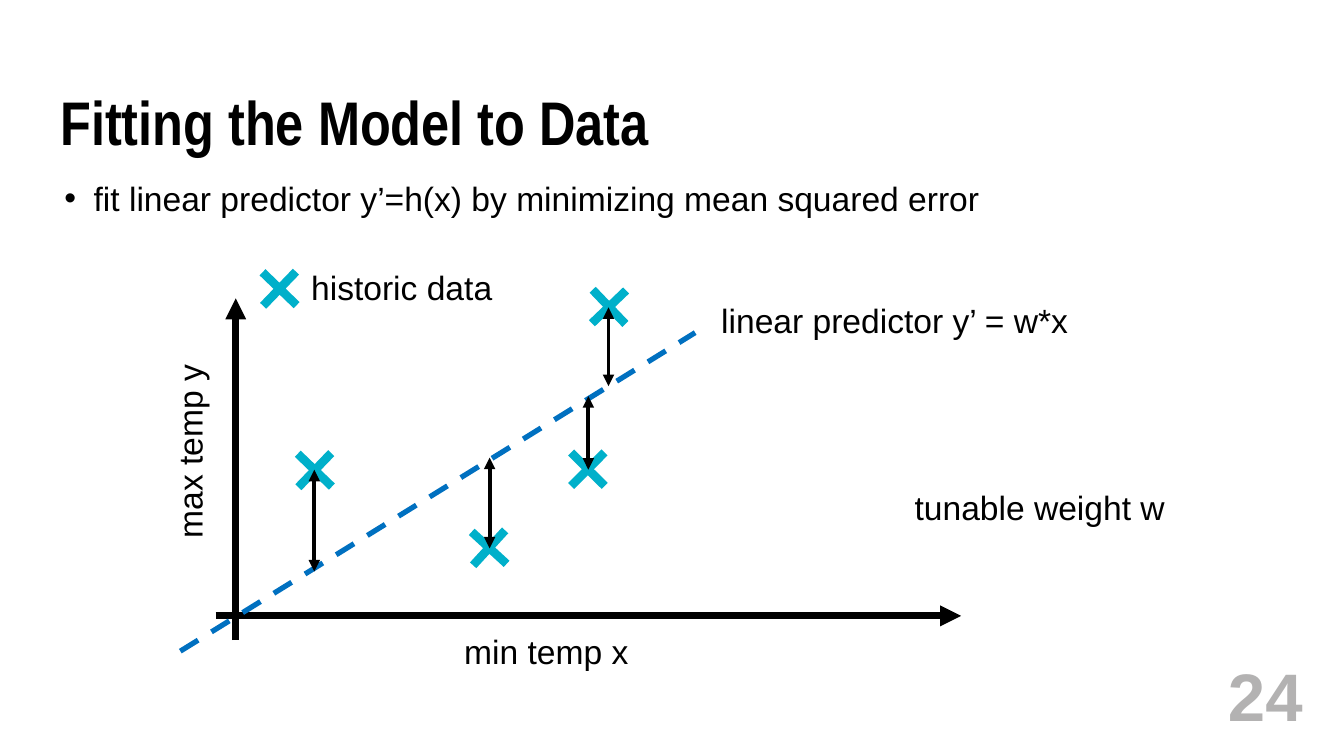
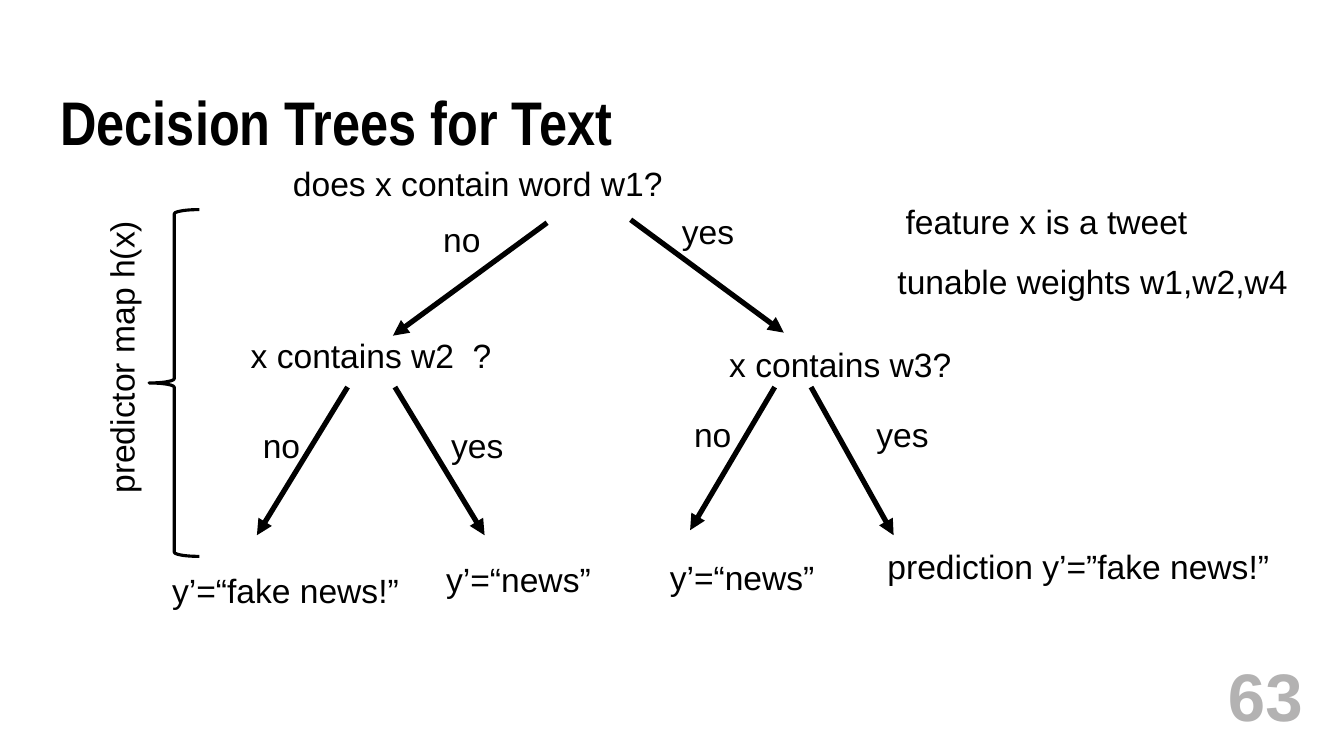
import pptx
import pptx.dml.color
import pptx.enum.dml
import pptx.enum.shapes
import pptx.enum.text
import pptx.oxml.ns
import pptx.util
from lxml import etree

Inches = pptx.util.Inches
Pt = pptx.util.Pt
SHAPE = pptx.enum.shapes.MSO_SHAPE
ALIGN = pptx.enum.text.PP_ALIGN
ANCHOR = pptx.enum.text.MSO_ANCHOR
qn = pptx.oxml.ns.qn

# Shared style
BLACK, GREY, CYAN, BLUE = "000000", "B3B2B2", "00B0CA", "0070C0"
BODY_FONT, TITLE_FONT = "Arial", "Arial Narrow"
LABEL_HEIGHT = 0.5
CROSS_SIZE = 0.47


def color(hex_text):
    return pptx.dml.color.RGBColor.from_string(hex_text)


def add_text(slide, text, left, top, width, height=LABEL_HEIGHT, size=24,
             font=BODY_FONT, fill=BLACK, bold=False, insets=(0.1, 0.05),
             align=ALIGN.LEFT, anchor=ANCHOR.TOP, rotation=0):
    """Add a one-paragraph text box and return its paragraph."""
    sp = slide.shapes.add_textbox(Inches(left), Inches(top), Inches(width), Inches(height))
    sp.rotation = rotation
    tf = sp.text_frame
    tf.word_wrap = True
    tf.vertical_anchor = anchor
    tf.margin_left = tf.margin_right = Inches(insets[0])
    tf.margin_top = tf.margin_bottom = Inches(insets[1])
    p = tf.paragraphs[0]
    p.alignment = align
    r = p.add_run()
    r.text = text
    r.font.name = font
    r.font.size = Pt(size)
    r.font.bold = bold
    r.font.color.rgb = color(fill)
    return p


def add_bullet(slide, text, left, top, width, height):
    p = add_text(slide, text, left, top, width, height, insets=(0.04, 0.04))
    p.space_after = Pt(6)
    pPr = p._p.get_or_add_pPr()
    indent = Inches(0.29)
    pPr.set("marL", str(indent))
    pPr.set("indent", str(-indent))
    etree.SubElement(pPr, qn("a:buFont")).set("typeface", BODY_FONT)
    etree.SubElement(pPr, qn("a:buChar")).set("char", "•")


def add_line(slide, start, end, width, line=BLACK, dash=None, arrows=("tailEnd",)):
    """Add a straight line; arrows lists the ends (headEnd, tailEnd) with a triangle."""
    c = slide.shapes.add_connector(
        pptx.enum.shapes.MSO_CONNECTOR.STRAIGHT, *(Inches(v) for v in (*start, *end)))
    c.line.color.rgb = color(line)
    c.line.width = Pt(width)
    if dash:
        c.line.dash_style = dash
    ln = c.line._get_or_add_ln()
    for arrow in arrows:
        etree.SubElement(ln, qn("a:" + arrow)).set("type", "triangle")
    etree.SubElement(c._element.spPr, qn("a:effectLst"))


def add_cross(slide, left, top, rotation):
    sp = slide.shapes.add_shape(SHAPE.CROSS, Inches(left), Inches(top),
                                Inches(CROSS_SIZE), Inches(CROSS_SIZE))
    sp.adjustments[0] = 0.41
    sp.rotation = rotation
    sp.shadow.inherit = False
    sp.fill.solid()
    sp.fill.fore_color.rgb = color(CYAN)
    sp.line.fill.background()


def add_brace(slide, left, top, width, height):
    sp = slide.shapes.add_shape(SHAPE.LEFT_BRACE, Inches(left), Inches(top),
                                Inches(width), Inches(height))
    sp.shadow.inherit = False
    sp.fill.background()
    sp.line.color.rgb = color(BLACK)
    sp.line.width = Pt(2.25)


def add_slide(prs, title, number):
    """Add a blank slide with the shared title and page number."""
    slide = prs.slides.add_slide(prs.slide_layouts[6])
    p = add_text(slide, title, 0.6, 0.92, 12.13, 0.67, size=44, font=TITLE_FONT,
                 bold=True, insets=(0, 0))
    p.line_spacing = 0.9
    add_text(slide, number, 10.92, 6.58, 2.05, 0.63, size=48, fill=GREY, bold=True,
             insets=(0.04, 0.04), align=ALIGN.RIGHT, anchor=ANCHOR.MIDDLE)
    return slide


def build_fitting(prs):
    slide = add_slide(prs, "Fitting the Model to Data", "24")
    add_bullet(slide, "fit linear predictor y’=h(x) by minimizing mean squared error",
               0.6, 1.72, 12.13, 0.57)

    # Axes
    add_line(slide, (2.14, 6.11), (9.54, 6.11), 5)
    add_line(slide, (2.34, 6.35), (2.34, 2.96), 5)

    # Data points, including the legend marker, and the predictor
    for left, top, rotation in [(2.89, 4.43, 43.9), (4.62, 5.2, 42.5), (5.81, 2.81, 46.2),
                                (5.6, 4.42, 44.8), (2.54, 2.63, 43.9)]:
        add_cross(slide, left, top, rotation)
    add_line(slide, (1.79, 6.46), (6.9, 3.3), 3.75, BLUE,
             pptx.enum.dml.MSO_LINE.DASH, arrows=())

    # Prediction errors
    for x, top, bottom in [(3.12, 4.66, 5.67), (6.04, 3.05, 3.83),
                           (4.86, 4.54, 5.44), (5.84, 3.93, 4.66)]:
        add_line(slide, (x, top), (x, bottom), 2.75, arrows=("headEnd", "tailEnd"))

    # Labels
    add_text(slide, "max temp y", 0.91, 4.22, 1.94, rotation=270)
    for text, left, top, width in [
            ("min temp x", 4.51, 6.21, 1.94),
            ("historic data", 2.99, 2.6, 2.02),
            ("linear predictor y’ = w*x", 7.06, 2.93, 3.68),
            ("tunable weight w", 8.98, 4.78, 2.71)]:
        add_text(slide, text, left, top, width)


def build_tree(prs):
    slide = add_slide(prs, "Decision Trees for Text", "63")

    # Branches
    for start, end in [((5.43, 2.21), (3.9, 3.33)), ((6.26, 2.18), (7.78, 3.3)),
                       ((3.45, 3.84), (2.55, 5.31)), ((3.92, 3.84), (4.81, 5.31)),
                       ((7.69, 3.84), (6.85, 5.26)), ((8.05, 3.84), (8.87, 5.31))]:
        add_line(slide, start, end, 3.75)

    # Answers on the branches
    for text, left, top in [("no", 4.3, 2.12), ("yes", 6.67, 2.04),
                            ("no", 2.51, 4.17), ("yes", 4.38, 4.17),
                            ("no", 6.79, 4.06), ("yes", 8.6, 4.06)]:
        add_text(slide, text, left, top, 1.02)

    # Questions, predictions and remarks
    for text, left, top, width in [
            ("does x contain word w1?", 2.81, 1.57, 5),
            ("x contains w2  ?", 2.39, 3.27, 3.07),
            ("x contains w3?", 7.14, 3.36, 2.47),
            ("y’=“fake news!”", 1.61, 5.6, 2.77),
            ("y’=“news”", 4.33, 5.5, 1.93),
            ("y’=“news”", 6.55, 5.48, 1.77),
            ("prediction y’=”fake news!”", 8.71, 5.37, 4.22),
            ("feature x is a tweet", 8.89, 1.94, 3.12),
            ("tunable weights w1,w2,w4", 8.81, 2.54, 4.12)]:
        add_text(slide, text, left, top, width)

    # Predictor map
    add_brace(slide, 1.48, 2.08, 0.5, 3.44)
    add_text(slide, "predictor map h(x)", -0.26, 3.28, 2.93, rotation=270)


def main():
    prs = pptx.Presentation()
    prs.slide_width = Inches(13.34)
    prs.slide_height = Inches(7.5)
    build_fitting(prs)
    build_tree(prs)
    prs.save("out.pptx")


if __name__ == "__main__":
    main()
